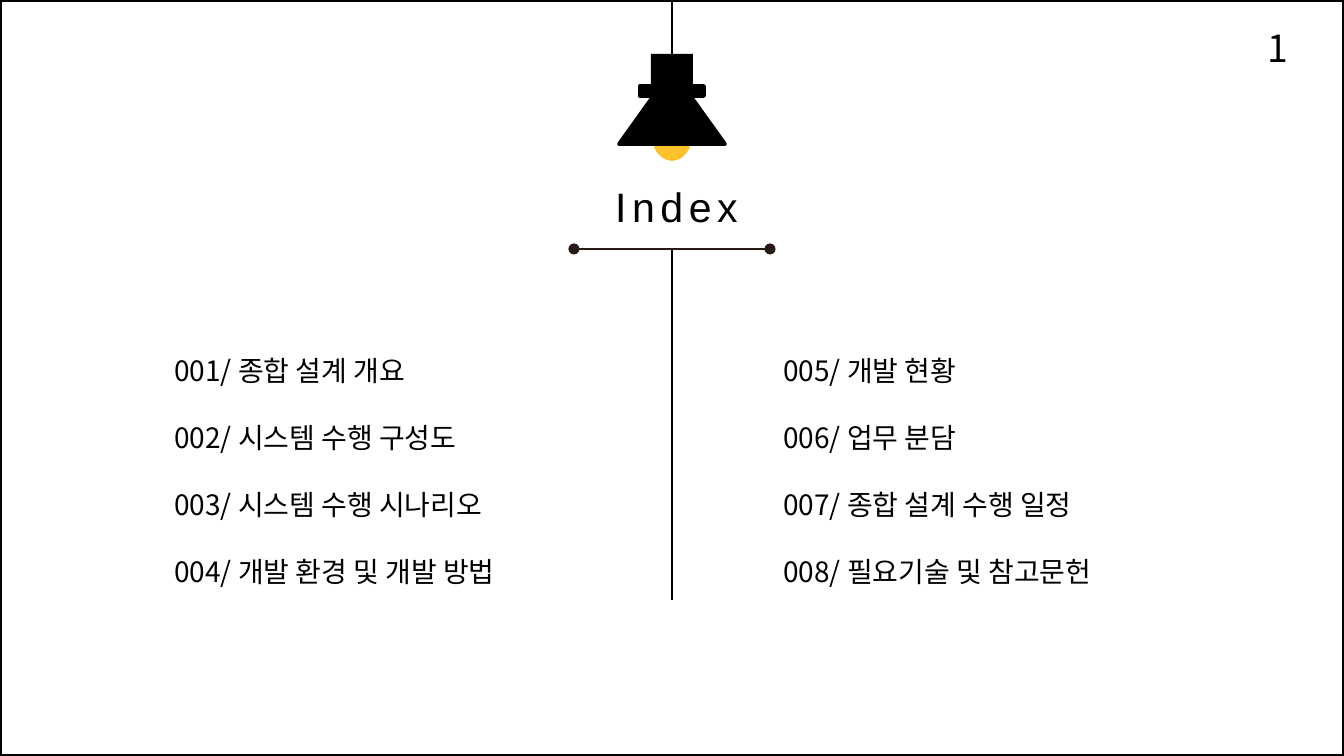
from lxml import etree
from pptx import Presentation
from pptx.dml.color import RGBColor
from pptx.enum.shapes import MSO_CONNECTOR, MSO_SHAPE
from pptx.enum.text import MSO_ANCHOR, MSO_AUTO_SIZE, PP_ALIGN
from pptx.oxml.ns import qn
from pptx.util import Emu, Pt

STRAIGHT = MSO_CONNECTOR.STRAIGHT
ELLIPSE = MSO_SHAPE.OVAL
RECTANGLE = MSO_SHAPE.RECTANGLE
TRIANGLE = MSO_SHAPE.ISOSCELES_TRIANGLE
TOP, MIDDLE = MSO_ANCHOR.TOP, MSO_ANCHOR.MIDDLE
LEFT, CENTER = PP_ALIGN.LEFT, PP_ALIGN.CENTER
GROW = MSO_AUTO_SIZE.SHAPE_TO_FIT_TEXT

SCALE = 914400 / 134.4
COLORS = {"black": "000000", "bulb": "FFC22B", "rule": "281A16", "white": "FFFFFF"}
LATIN_FONT = "Arial"
KOREAN_FONT = "Noto Sans CJK KR"
CENTER_X = 672
RULE_Y = 249
INDEX_COLUMNS = (
    (161, ("001/ 종합 설계 개요", "002/ 시스템 수행 구성도",
           "003/ 시스템 수행 시나리오", "004/ 개발 환경 및 개발 방법")),
    (770, ("005/ 개발 현황", "006/ 업무 분담",
           "007/ 종합 설계 수행 일정", "008/ 필요기술 및 참고문헌")),
)


def px(value):
    return Emu(round(value * SCALE))


def color(name):
    return RGBColor.from_string(COLORS[name])


def add_figure(slide, kind, box, fill=None, line=None):
    shape = slide.shapes.add_shape(kind, *map(px, box))
    shape.shadow.inherit = False
    if fill:
        shape.fill.solid()
        shape.fill.fore_color.rgb = color(fill)
    else:
        shape.fill.background()
    if line:
        shape.line.color.rgb = color(line)
        shape.line.width = Pt(2)
    else:
        shape.line.fill.background()


def add_line(slide, start, end, line, width=1, dots=False):
    connector = slide.shapes.add_connector(STRAIGHT, *map(px, start + end))
    connector.line.color.rgb = color(line)
    connector.line.width = Pt(width)
    properties = connector._element.spPr
    if dots:
        outline = properties.find(qn("a:ln"))
        for tag in ("a:headEnd", "a:tailEnd"):
            etree.SubElement(outline, qn(tag), type="oval")
    etree.SubElement(properties, qn("a:effectLst"))


def add_text(slide, box, lines, font, size, align=LEFT, anchor=TOP,
             wrap=True, line_spacing=None, tracking=None):
    frame = slide.shapes.add_textbox(*map(px, box)).text_frame
    frame.word_wrap = wrap
    frame.auto_size = GROW
    frame.vertical_anchor = anchor
    frame.text = "\n".join(lines)
    for paragraph in frame.paragraphs:
        paragraph.alignment = align
        paragraph.line_spacing = line_spacing
        for run in paragraph.runs:
            run.font.name = font
            run.font.size = Pt(size)
            run.font.color.rgb = color("black")
            properties = run.font._element
            etree.SubElement(properties, qn("a:ea"), typeface=font)
            if tracking:
                properties.set("spc", str(tracking * 100))


def add_lamp(slide):
    add_figure(slide, ELLIPSE, (653, 106, 38, 53), "bulb", "bulb")
    add_line(slide, (CENTER_X, 0), (CENTER_X, 64), "black", 1.5)
    add_figure(slide, RECTANGLE, (651, 54, 42, 42), "black")
    add_figure(slide, RECTANGLE, (640, 86, 64, 10), "black", "black")
    add_figure(slide, TRIANGLE, (619, 70, 106, 74), "black", "black")


def main():
    presentation = Presentation()
    presentation.slide_width = px(1344)
    presentation.slide_height = px(756)
    slide = presentation.slides.add_slide(presentation.slide_layouts[6])
    slide.background.fill.solid()
    slide.background.fill.fore_color.rgb = color("white")

    add_lamp(slide)
    add_figure(slide, RECTANGLE, (0, 0, 1344, 756), line="black")
    add_text(slide, (598, 175, 157, 63), ["Index"], LATIN_FONT, 22,
             align=CENTER, wrap=False, tracking=3)
    add_line(slide, (574, RULE_Y), (770, RULE_Y), "rule", dots=True)
    add_line(slide, (CENTER_X, RULE_Y), (CENTER_X, 600), "black")
    for left, entries in INDEX_COLUMNS:
        add_text(slide, (left, 317, 427, 274), entries, KOREAN_FONT, 15,
                 anchor=MIDDLE, line_spacing=2.0)
    add_text(slide, (1254, 19, 94, 59), ["1"], KOREAN_FONT, 20)

    presentation.save("out.pptx")


main()
